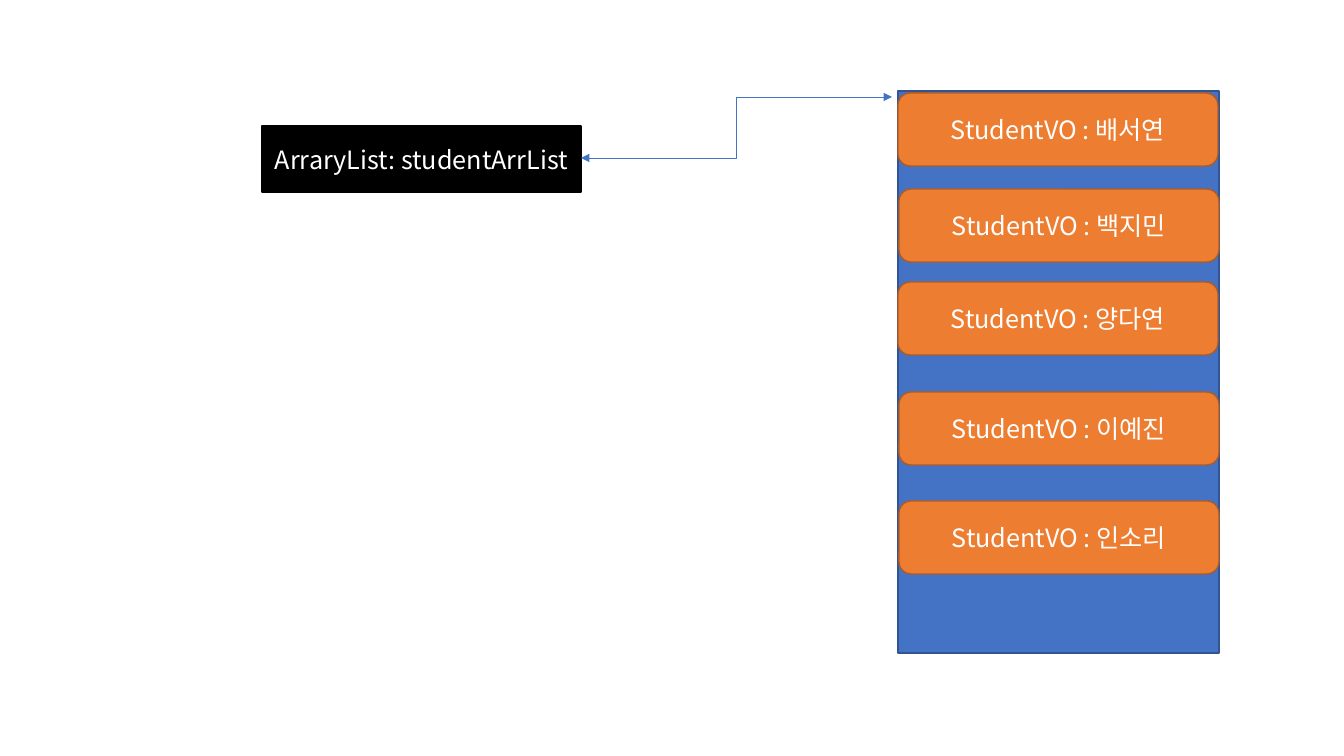
from lxml import etree
from pptx import Presentation, util as u
from pptx.dml.color import RGBColor
from pptx.enum import shapes, text
from pptx.oxml.ns import qn

SCALE = 914400 / 100.8
FONT = "Noto Sans CJK KR"
WHITE = RGBColor(0xFF, 0xFF, 0xFF)
BLACK = RGBColor(0, 0, 0)
BLUE = RGBColor(0x44, 0x72, 0xC4)
DARK_BLUE = RGBColor(0x32, 0x54, 0x91)
ORANGE = RGBColor(0xED, 0x7D, 0x31)
DARK_ORANGE = RGBColor(0xAF, 0x5C, 0x24)
RECT = shapes.MSO_SHAPE.RECTANGLE
ROUNDED = shapes.MSO_SHAPE.ROUNDED_RECTANGLE

# Offset of each card inside the column, and the student it holds
STUDENTS = [
    (0, 2, "배서연"),
    (1, 98, "백지민"),
    (0, 191, "양다연"),
    (1, 301, "이예진"),
    (1, 410, "인소리"),
]
CARD_SIZE = (320, 73)


def px(*values):
    """Turn pixels into EMU."""
    return [u.Emu(round(v * SCALE)) for v in values]


def add_box(s, kind, box, fill, line, label=None):
    """Add a filled, outlined shape with an optional centred label."""
    sp = s.shapes.add_shape(kind, *px(*box))
    sp.shadow.inherit = False
    sp.fill.solid()
    sp.fill.fore_color.rgb = fill
    sp.line.color.rgb = line
    sp.line.width = u.Pt(1)
    if label:
        tf = sp.text_frame
        tf.word_wrap = True
        tf.vertical_anchor = text.MSO_ANCHOR.MIDDLE
        p = tf.paragraphs[0]
        p.alignment = text.PP_ALIGN.CENTER
        r = p.add_run()
        r.text = label
        r.font.size = u.Pt(18)
        r.font.name = FONT
        r.font.color.rgb = WHITE
        # Hangul takes its font from the East Asian setting
        etree.SubElement(r.font._element, qn("a:ea"), typeface=FONT)
    return sp


def add_student_column(s, box):
    """Draw the column and its student cards."""
    left, top, _, _ = box
    add_box(s, RECT, box, BLUE, DARK_BLUE)
    for dx, dy, name in STUDENTS:
        card = (left + dx, top + dy, *CARD_SIZE)
        add_box(s, ROUNDED, card, ORANGE, DARK_ORANGE, f"StudentVO : {name}")


def add_list_variable(s, box):
    """Draw the box of the list variable."""
    add_box(s, RECT, box, BLACK, BLACK, "ArraryList: studentArrList")


def add_reference(s, start, end):
    """Draw the bent double arrow from the variable to the column."""
    cx = s.shapes.add_connector(shapes.MSO_CONNECTOR.ELBOW, *px(*start, *end))
    cx.line.color.rgb = BLUE
    cx.line.width = u.Pt(0.5)
    ln = cx.line._get_or_add_ln()
    for tag in ("a:headEnd", "a:tailEnd"):
        etree.SubElement(ln, qn(tag), type="triangle")
    etree.SubElement(cx._element.spPr, qn("a:effectLst"))


prs = Presentation()
prs.slide_width, prs.slide_height = px(1344, 756)
s = prs.slides.add_slide(prs.slide_layouts[6])
add_student_column(s, (898, 91, 321, 562))
add_list_variable(s, (262, 126, 319, 66))
add_reference(s, (581, 158), (892, 97))
prs.save("out.pptx")
